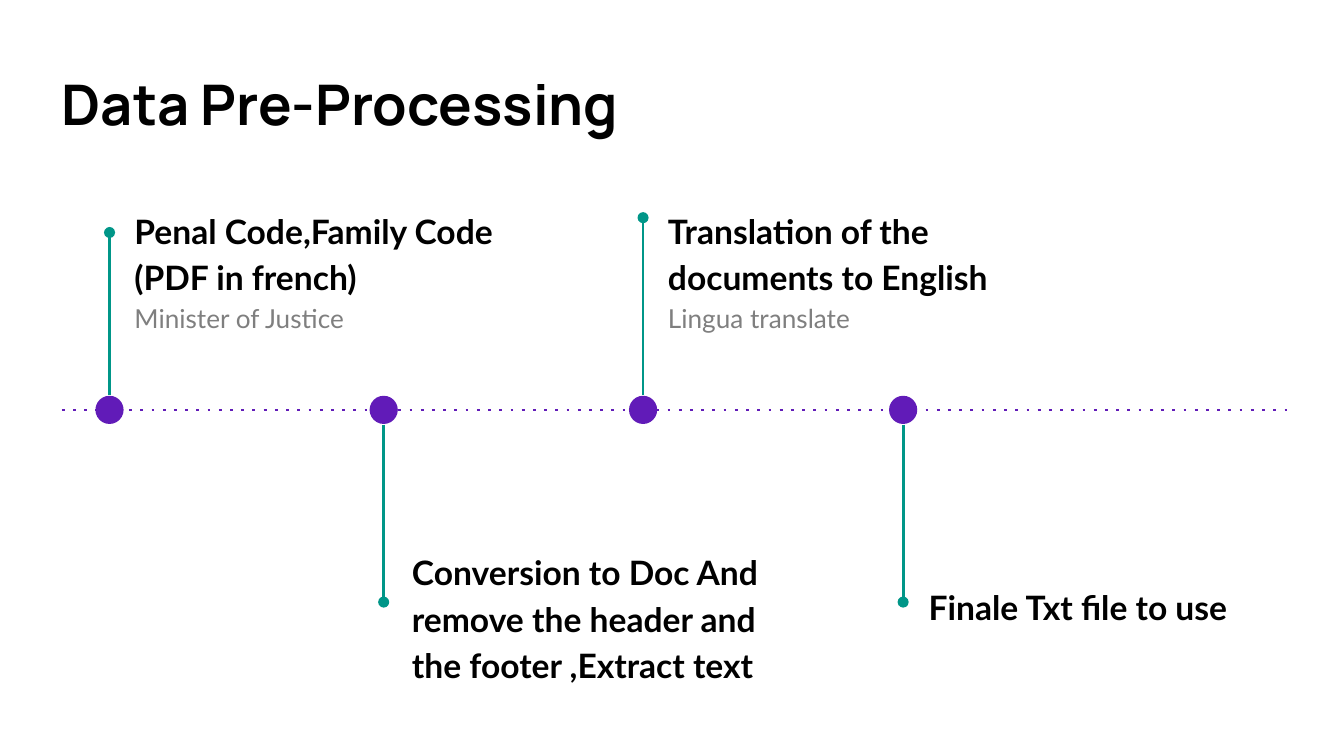
from lxml.etree import SubElement
from pptx import Presentation
from pptx.dml.color import RGBColor
from pptx.enum.shapes import MSO_CONNECTOR as Link, MSO_SHAPE as Form
from pptx.enum.text import MSO_ANCHOR as Anchor, MSO_AUTO_SIZE as Fit, PP_ALIGN as Align
from pptx.oxml.ns import qn
from pptx.util import Pt

PX = 4572
BLACK = RGBColor(0x00, 0x00, 0x00)
GRAY = RGBColor(0x7F, 0x7F, 0x7F)
PURPLE = RGBColor(0x61, 0x1B, 0xB8)
TEAL = RGBColor(0x00, 0x96, 0x88)


def write(para, text, size=18, font="Lato", color=BLACK, bold=True, lead=1.15, after=0):
    para.alignment = Align.LEFT
    para.line_spacing = lead
    para.space_before = Pt(0)
    para.space_after = Pt(after)
    props = para._p.get_or_add_pPr()
    props.set("marL", "0")
    props.set("indent", "0")
    SubElement(props, qn("a:buNone"))
    run = para.add_run()
    run.text = text
    run.font.size = Pt(size)
    run.font.name = font
    run.font.bold = bold
    run.font.color.rgb = color


def draw(x1, y1, x2, y2, color, tag, **attrs):
    line = slide.shapes.add_connector(Link.STRAIGHT, x1 * PX, y1 * PX, x2 * PX, y2 * PX)
    line.line.color.rgb = color
    line.line.width = Pt(1.5)
    SubElement(line.line._get_or_add_ln(), qn(tag), **attrs)
    SubElement(line._element.spPr, qn("a:effectLst"))


deck = Presentation()
deck.slide_width = 2000 * PX
deck.slide_height = 1125 * PX
slide = deck.slides.add_slide(deck.slide_layouts[4])

boxes = [
    (72, 84, 1864, 136),
    (180, 285, 582, 212),
    (593, 793, 582, 308),
    (974, 285, 582, 212),
    (1362, 844, 582, 212),
]
steps = [
    ("Penal Code,Family Code (PDF in french)", "Minister of Justice"),
    ("Conversion to Doc And remove the header and the footer ,Extract text", ""),
    ("Translation of the documents to English", "Lingua translate"),
    ("Finale Txt file to use", ""),
]

for holder, box in zip(slide.placeholders, boxes):
    holder.left, holder.top, holder.width, holder.height = [n * PX for n in box]
    frame = holder.text_frame
    frame.word_wrap = True
    frame.auto_size = Fit.NONE
    frame.vertical_anchor = Anchor.TOP
    frame.margin_left = frame.margin_right = 20 * PX
    frame.margin_top = frame.margin_bottom = 20 * PX

title, *bodies = slide.placeholders
write(title.text_frame.paragraphs[0], "Data Pre-Processing", size=30, font="Manrope", lead=1.0)
for body, (head, note) in zip(bodies, steps):
    frame = body.text_frame
    write(frame.paragraphs[0], head)
    if note:
        write(frame.add_paragraph(), note, size=14, color=GRAY, bold=False, after=16)

draw(92, 610, 1916, 610, PURPLE, "a:prstDash", val="dot")
for x, start, end in [(163, 588, 346), (571, 632, 896), (957, 588, 324), (1344, 632, 896)]:
    draw(x, start, x, end, TEAL, "a:tailEnd", type="oval")
    dot = slide.shapes.add_shape(Form.OVAL, (x - 21) * PX, 589 * PX, 42 * PX, 42 * PX)
    dot.shadow.inherit = False
    dot.fill.solid()
    dot.fill.fore_color.rgb = PURPLE
    dot.line.fill.background()

deck.save("out.pptx")
